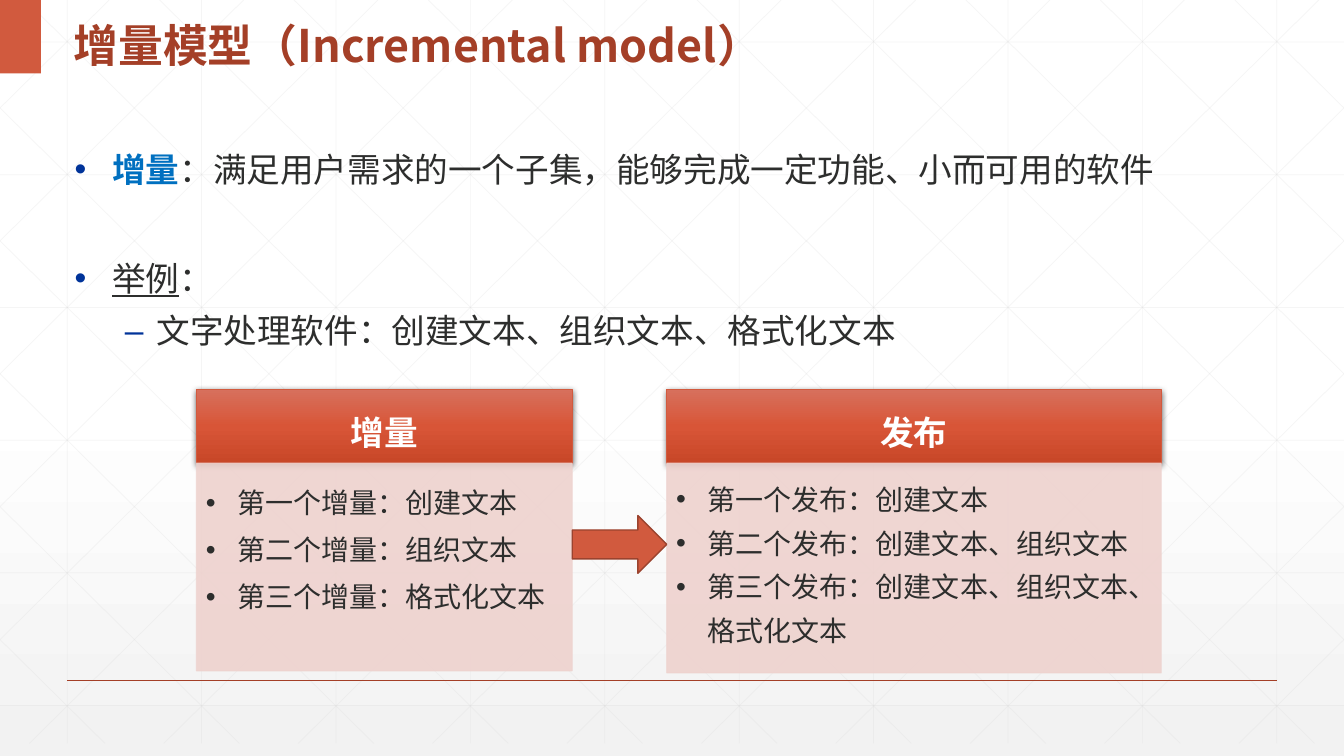
from dataclasses import dataclass

from lxml.etree import SubElement
from pptx import Presentation
from pptx.dml.color import RGBColor
from pptx.enum.shapes import MSO_CONNECTOR, MSO_SHAPE
from pptx.enum.text import MSO_ANCHOR, MSO_AUTO_SIZE, PP_ALIGN
from pptx.oxml.ns import qn
from pptx.util import Pt

TITLE = "增量模型（Incremental model）"
# runs as (text, style), level, space before in points
POINTS = [
    ([("增量", "key"), ("：满足用户需求的一个子集，能够完成一定功能、小而可用的软件", "")], 0, 0),
    ([("举例", "under"), ("：", "")], 0, 46),
    ([("文字处理软件：创建文本、组织文本、格式化文本", "")], 1, 6),
]
# heading, items, left, width, body height, line spacing
CARDS = [
    ("增量", ["第一个增量：创建文本", "第二个增量：组织文本", "第三个增量：格式化文本"],
     187, 358, 198, 1.4),
    ("发布", ["第一个发布：创建文本", "第二个发布：创建文本、组织文本",
            "第三个发布：创建文本、组织文本、格式化文本"], 635, 471, 200, 1.3),
]
LEVELS = [("•", 36, -36), ("–", 78, -30)]  # mark, margin, indent


@dataclass(frozen=True)
class Theme:
    font: str = "Noto Sans CJK SC"
    latin: str = "Arial"
    title: int = 32
    body: int = 24
    item: int = 20
    ink: str = "2D2E2D"
    dark: str = "A43F27"
    main: str = "D15A3E"
    edge: str = "9B432E"
    key: str = "0070C0"
    mark: str = "003399"
    pale: str = "EED2CE"
    grid: str = "D9D9D9"
    white: str = "FFFFFF"
    head: tuple = ((0, "D7705D"), (50, "D85537"), (100, "C84728"))
    back: tuple = ((0, "FFFFFF"), (53, "FFFFFF"), (100, "F2F2F2"))


T = Theme()
WIDE, HIGH, GRID_END = 1280, 720, 708
STEP, SLOPE = 128, 716 / 708


def px(n):
    return round(n * 9525)


def box(*sides):
    return [px(n) for n in sides]


def rgb(code):
    return RGBColor.from_string(code)


def tag(root, name, **attrs):
    return SubElement(root, qn("a:" + name), {k: str(v) for k, v in attrs.items()})


def grad(fill, root, stops):
    """Fill from top to bottom with (percent, colour) stops."""
    fill.gradient()
    fill.gradient_angle = 270
    group = root.find(".//" + qn("a:gsLst"))
    for old in list(group):
        group.remove(old)
    for spot, code in stops:
        tag(tag(group, "gs", pos=spot * 1000), "srgbClr", val=code)


def fade(root, share):
    """Make every plain colour below root partly see-through."""
    for clr in root.iter(qn("a:srgbClr")):
        tag(clr, "alpha", val=share * 1000)


def line(x1, y1, x2, y2, code, width, share=100):
    rule = slide.shapes.add_connector(MSO_CONNECTOR.STRAIGHT, *box(x1, y1, x2, y2))
    rule.line.color.rgb, rule.line.width = rgb(code), Pt(width)
    props = rule.element.spPr
    if share < 100:
        fade(props, share)
    tag(props, "effectLst")


def shape(kind, sides, fill, edge=None, width=0.5):
    part = slide.shapes.add_shape(kind, *box(*sides))
    part.shadow.inherit = False
    if isinstance(fill, tuple):
        grad(part.fill, part.element, fill)
    else:
        part.fill.solid()
        part.fill.fore_color.rgb = rgb(fill)
    if edge:
        part.line.color.rgb, part.line.width = rgb(edge), Pt(width)
    else:
        part.line.fill.background()
    return part


def frame(part, anchor, left, top, right, bottom):
    text = part.text_frame
    text.word_wrap, text.auto_size = True, MSO_AUTO_SIZE.NONE
    text.vertical_anchor = anchor
    text.margin_left, text.margin_top, text.margin_right, text.margin_bottom = box(
        left, top, right, bottom)
    return text


def style(para, size, code, space, bold=False, name=T.font, align=PP_ALIGN.LEFT):
    para.alignment, para.line_spacing = align, space
    font = para.font
    font.size, font.bold, font.name = Pt(size), bold, name
    font.color.rgb = rgb(code)
    tag(para._p.pPr.find(qn("a:defRPr")), "ea", typeface=T.font)


def bullet(para, mark, margin, indent, code):
    props = para._p.get_or_add_pPr()
    props.set("marL", str(px(margin)))
    props.set("indent", str(px(indent)))
    tag(tag(props, "buClr"), "srgbClr", val=code)
    tag(props, "buFont", typeface=T.latin)
    tag(props, "buChar", char=mark)


def paras(text, count):
    return [text.paragraphs[0]] + [text.add_paragraph() for _ in range(count - 1)]


def draw_grid():
    ends = [(x, 0, x, GRID_END) for x in range(64, WIDE, STEP)]
    ends += [(0, 40 + 126.4 * i, WIDE, 40 + 126.4 * i) for i in range(6)]
    for start in range(24 - 5 * STEP, WIDE, STEP):
        x1, x2 = max(start, 0), min(start + GRID_END * SLOPE, WIDE)
        y1, y2 = (x1 - start) / SLOPE, (x2 - start) / SLOPE
        ends += [(x1, y1, x2, y2), (WIDE - x1, y1, WIDE - x2, y2)]
    for end in ends:
        line(*end, T.grid, 0.5, 25)


def draw_list(holder):
    text = frame(holder, MSO_ANCHOR.TOP, 0, 0, 0, 0)
    for para, (runs, level, before) in zip(paras(text, len(POINTS)), POINTS):
        para.level = level
        bullet(para, *LEVELS[level], T.mark)
        para.space_before = Pt(before)
        style(para, T.body, T.ink, 1.1)
        for words, look in runs:
            run = para.add_run()
            run.text = words
            if look == "key":
                run.font.bold, run.font.color.rgb = True, rgb(T.key)
            elif look == "under":
                run.font.underline = True


def draw_card(name, items, left, width, height, space):
    top, tall = 371, 70
    head = shape(MSO_SHAPE.RECTANGLE, (left, top, width, tall), T.head, T.main)
    glow = tag(head.element.spPr.find(qn("a:effectLst")), "outerShdw",
               blurRad=Pt(4.5), dist=Pt(1.5), dir=5400000, rotWithShape=0)
    tag(tag(glow, "srgbClr", val="000000"), "alpha", val=63000)
    para = frame(head, MSO_ANCHOR.MIDDLE, 18, 11, 18, 11).paragraphs[0]
    para.text = name
    style(para, T.body, T.white, 1.3, True, T.latin, PP_ALIGN.CENTER)

    body = shape(MSO_SHAPE.RECTANGLE, (left, top + tall, width, height), T.pale, T.pale)
    fade(body.element.spPr, 90)
    text = frame(body, MSO_ANCHOR.TOP, 9, 9, 12, 13)
    for para, words in zip(paras(text, len(items)), items):
        para.text = words
        bullet(para, "•", 30, -30, T.ink)
        style(para, T.item, T.ink, space)


deck = Presentation()
deck.slide_width, deck.slide_height = box(WIDE, HIGH)
slide = deck.slides.add_slide(deck.slide_layouts[1])
grad(slide.background.fill, slide.element, T.back)
title, points = slide.placeholders

draw_grid()
line(64, 648, 1216, 648, T.dark, 1)
shape(MSO_SHAPE.RECTANGLE, (0, 0, 39, 70), T.main)
for holder, sides in ((title, (60, 0, 855, 70)), (points, (71, 138, 1138, 232))):
    holder.left, holder.top, holder.width, holder.height = box(*sides)
    slide.shapes.element.append(holder.element)

heading = frame(title, MSO_ANCHOR.MIDDLE, 10, 5, 10, 5).paragraphs[0]
heading.text = TITLE
style(heading, T.title, T.dark, 1.3, True)
draw_list(points)
for card in CARDS:
    draw_card(*card)
shape(MSO_SHAPE.RIGHT_ARROW, (545, 491, 90, 55), T.main, T.edge, 1)
deck.save("out.pptx")
